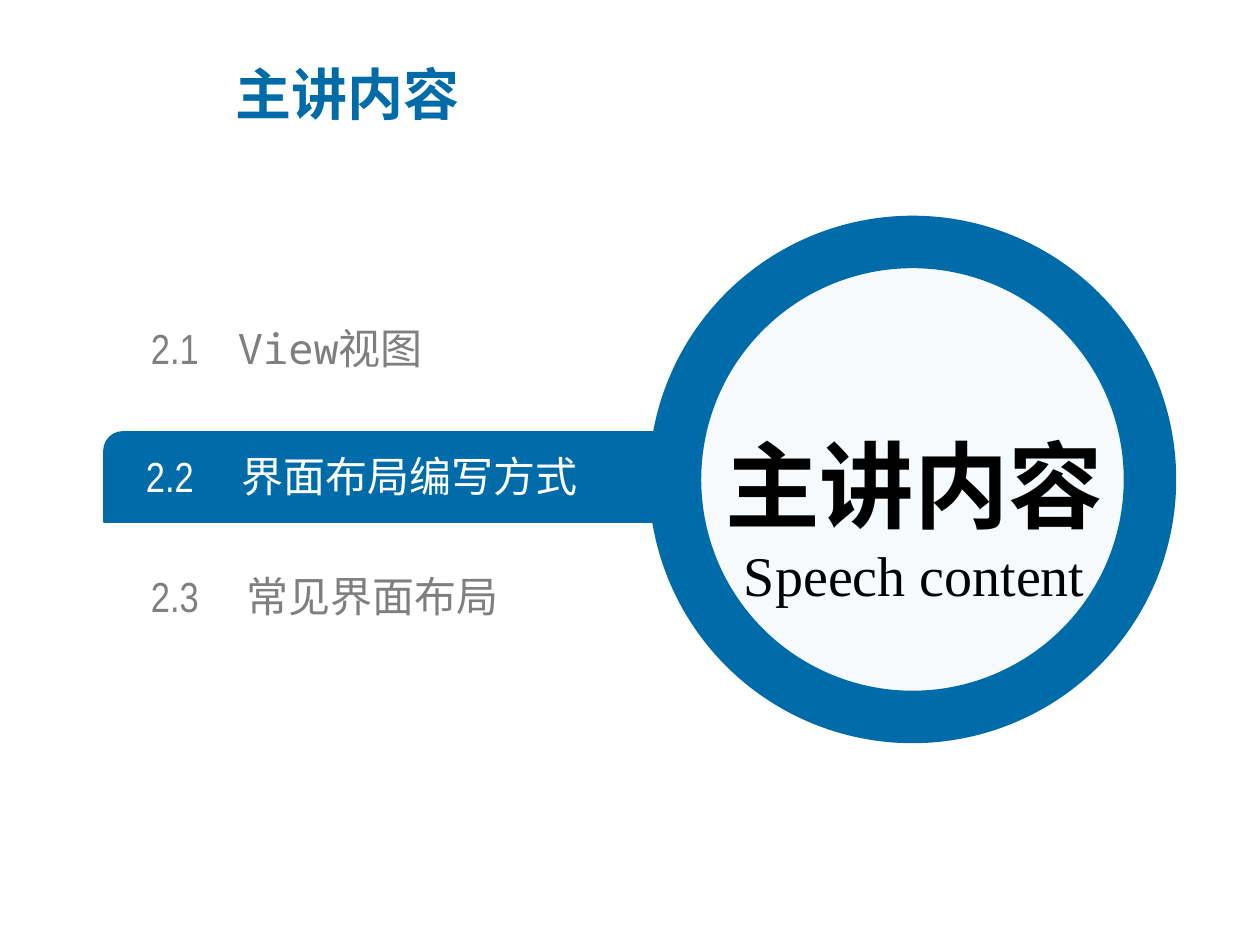
from lxml import etree
from pptx import Presentation
from pptx import util as u
from pptx.dml.color import RGBColor
from pptx.enum import shapes, text
from pptx.oxml import ns

SCALE = 914400 / 126
BLUE = RGBColor(0x00, 0x6B, 0xA9)
PALE = RGBColor(0xF6, 0xFA, 0xFD)
GREY = RGBColor(0x7F, 0x7F, 0x7F)
WHITE = RGBColor(0xFF, 0xFF, 0xFF)
BLACK = RGBColor(0x00, 0x00, 0x00)
CJK, NARROW, MONO, SERIF = "Noto Sans CJK SC", "Arial Narrow", "Noto Sans Mono", "Times New Roman"


def px(length):
    """Turn pixels into EMU."""
    return u.Emu(round(length * SCALE))


def set_attributes(target, values):
    """Set each named attribute of the target."""
    for name, value in values.items():
        setattr(target, name, value)


def add_run(paragraph, wording, size, name, color, bold=False):
    """Add a formatted run with a Chinese fallback font."""
    run = paragraph.add_run()
    run.text = wording
    run.font.color.rgb = color
    set_attributes(run.font, {"size": u.Pt(size), "name": name, "bold": bold})
    etree.SubElement(run.font._element, ns.qn("a:ea"), typeface=CJK)


def add_text_box(slide, box, margins=None):
    """Add a wrapping, vertically centred text box and return its frame."""
    frame = slide.shapes.add_textbox(*map(px, box)).text_frame
    set_attributes(frame, {
        "word_wrap": True,
        "vertical_anchor": text.MSO_ANCHOR.MIDDLE,
        "auto_size": text.MSO_AUTO_SIZE.SHAPE_TO_FIT_TEXT,
    })
    set_attributes(frame, margins or {})
    return frame


def add_filled_shape(slide, kind, box, fill, line_width):
    """Add a flat shape with a blue outline."""
    shape = slide.shapes.add_shape(kind, *map(px, box))
    shape.shadow.inherit = False
    shape.fill.solid()
    shape.fill.fore_color.rgb = fill
    shape.line.color.rgb = BLUE
    shape.line.width = u.Pt(line_width)
    return shape


def add_title(slide, box, wording):
    """Place and format the title placeholder."""
    title = slide.shapes.title
    set_attributes(title, dict(zip(("left", "top", "width", "height"), map(px, box))))
    set_attributes(title.text_frame, {
        "vertical_anchor": text.MSO_ANCHOR.MIDDLE,
        "auto_size": text.MSO_AUTO_SIZE.NONE,
    })
    paragraph = title.text_frame.paragraphs[0]
    paragraph.alignment = text.PP_ALIGN.LEFT
    add_run(paragraph, wording, 32, CJK, BLUE, True)


def add_highlight(slide, box):
    """Add the bar behind the current topic."""
    bar = add_filled_shape(slide, shapes.MSO_SHAPE.ROUND_2_DIAG_RECTANGLE, box, BLUE, 1)
    bar.adjustments[0] = 0.21
    bar.adjustments[1] = 0


def add_topic(slide, box, number, label, color, tab):
    """Add a numbered topic whose label starts at a tab stop."""
    margins = dict.fromkeys(("margin_left", "margin_top", "margin_right", "margin_bottom"), 0)
    paragraph = add_text_box(slide, box, margins).paragraphs[0]
    stops = etree.SubElement(paragraph._p.get_or_add_pPr(), ns.qn("a:tabLst"))
    etree.SubElement(stops, ns.qn("a:tab"), pos=str(px(tab)), algn="l")
    add_run(paragraph, number + "\t", 24, NARROW, color)
    for wording, name in label:
        add_run(paragraph, wording, 24, name, color)


def add_disc(slide, box, heading, subtitle):
    """Add the ringed disc with its heading and subtitle."""
    left, top, width, height = box
    add_filled_shape(slide, shapes.MSO_SHAPE.OVAL, box, PALE, 30)
    frame = add_text_box(slide, (left - 6, top + 121, width + 16, 252))
    first, second = frame.paragraphs[0], frame.add_paragraph()
    for paragraph in (first, second):
        paragraph.alignment = text.PP_ALIGN.CENTER
    first.line_spacing = 1.5
    add_run(first, heading, 54, CJK, BLACK, True)
    add_run(second, subtitle, 32, SERIF, BLACK)


def main():
    """Build the agenda slide and save it."""
    presentation = Presentation()
    set_attributes(presentation, {"slide_width": px(1260), "slide_height": px(945)})
    slide = presentation.slides.add_slide(presentation.slide_layouts[5])
    add_title(slide, (223, 55, 682, 77), "主讲内容")
    add_highlight(slide, (104, 432, 674, 90))
    topics = (
        (151, 323, "2.1", (("View", MONO), ("视图", NARROW)), GREY, 87),
        (146, 451, "2.2", (("界面布局编写方式", NARROW),), WHITE, 96),
        (151, 571, "2.3", (("常见界面布局", NARROW),), GREY, 96),
    )
    for left, top, *topic in topics:
        add_topic(slide, (left, top, 528, 50), *topic)
    add_disc(slide, (675, 242, 475, 475), "主讲内容", "Speech content")
    presentation.save("out.pptx")


if __name__ == "__main__":
    main()
